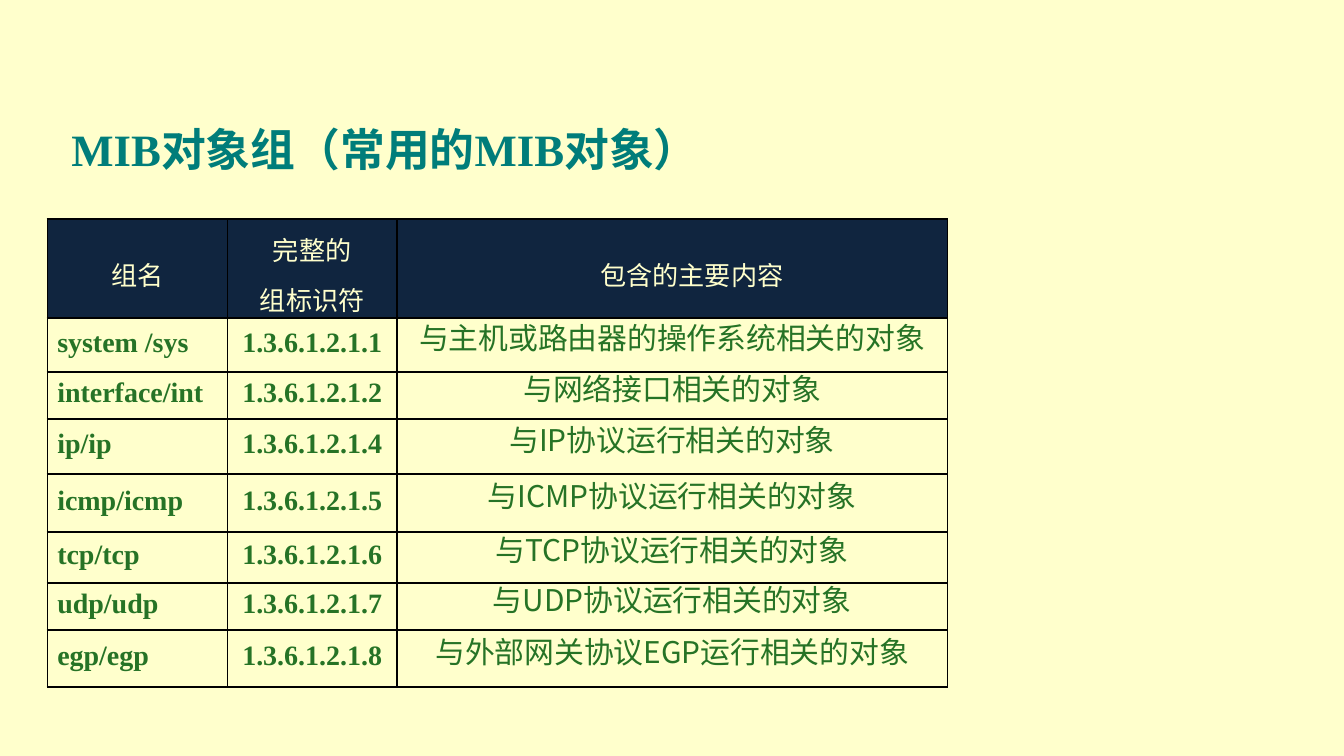
import pptx
import pptx.dml.color
import pptx.enum.text
import pptx.oxml
import pptx.oxml.ns
import pptx.util
from lxml import etree

Pt = pptx.util.Pt
ALIGN = pptx.enum.text.PP_ALIGN
MIDDLE = pptx.enum.text.MSO_ANCHOR.MIDDLE
SERIF = "Times New Roman"
SANS = "Noto Sans CJK SC"
COLORS = {
    "background": "FFFFCC",
    "title": "007D7A",
    "header": "10253F",
    "header_text": "FFFFCC",
    "body_text": "267326",
    "border": "000000",
}
COLUMN_WIDTHS = [96.5, 90.8, 294.9]
ROW_HEIGHTS = [53.2, 28.8, 25.2, 29.5, 31, 27.4, 25.2, 30.6]
HEADERS = ["组名", "完整的\n组标识符", "包含的主要内容"]
GROUPS = [
    ("system /sys", 1, "与主机或路由器的操作系统相关的对象"),
    ("interface/int", 2, "与网络接口相关的对象"),
    ("ip/ip", 4, "与IP协议运行相关的对象"),
    ("icmp/icmp", 5, "与ICMP协议运行相关的对象"),
    ("tcp/tcp", 6, "与TCP协议运行相关的对象"),
    ("udp/udp", 7, "与UDP协议运行相关的对象"),
    ("egp/egp", 8, "与外部网关协议EGP运行相关的对象"),
]


def rgb(name):
    return pptx.dml.color.RGBColor.from_string(COLORS[name])


def write_text(frame, text, *, size, color, font=SERIF, bold=False,
               align=ALIGN.LEFT, spacing=1.0, indent=0):
    for index, line in enumerate(text.split("\n")):
        para = frame.add_paragraph() if index else frame.paragraphs[0]
        para.alignment = align
        para.line_spacing = spacing
        if indent:
            properties = para._p.get_or_add_pPr()
            properties.set("marL", "0")
            properties.set("indent", str(Pt(indent)))
        span = para.add_run()
        span.text = line
        span.font.size = Pt(size)
        span.font.bold = bold
        span.font.color.rgb = rgb(color)
        span.font.name = font
        east_asian = etree.SubElement(span.font._element, pptx.oxml.ns.qn("a:ea"))
        east_asian.set("typeface", SANS)


def add_title(page, text):
    box = page.shapes.add_textbox(Pt(31.2), Pt(66.6), Pt(425.5), Pt(26))
    frame = box.text_frame
    frame.word_wrap = True
    frame.vertical_anchor = MIDDLE
    write_text(frame, text, size=24, color="title", bold=True)


def add_borders(cell):
    properties = cell._tc.get_or_add_tcPr()
    for side in ("lnL", "lnR", "lnT", "lnB"):
        properties.append(pptx.oxml.parse_xml(
            f'<a:{side} {pptx.oxml.ns.nsdecls("a")} w="{Pt(1)}"><a:solidFill>'
            f'<a:srgbClr val="{COLORS["border"]}"/></a:solidFill></a:{side}>'))


def fill_cell(cell, text, fill=None, **text_format):
    cell.margin_left = cell.margin_right = Pt(5.3)
    cell.margin_top = cell.margin_bottom = 0
    cell.vertical_anchor = MIDDLE
    add_borders(cell)
    if fill:
        cell.fill.solid()
        cell.fill.fore_color.rgb = rgb(fill)
    else:
        cell.fill.background()
    write_text(cell.text_frame, text, **text_format)


def add_group_table(page):
    table = page.shapes.add_table(
        len(ROW_HEIGHTS), len(COLUMN_WIDTHS), Pt(25.4), Pt(117.3),
        Pt(sum(COLUMN_WIDTHS)), Pt(sum(ROW_HEIGHTS))).table
    for column, width in zip(table.columns, COLUMN_WIDTHS):
        column.width = Pt(width)
    for row, height in zip(table.rows, ROW_HEIGHTS):
        row.height = Pt(height)

    for column, header in enumerate(HEADERS):
        fill_cell(table.cell(0, column), header, fill="header", size=14,
                  color="header_text", align=ALIGN.CENTER, spacing=1.3,
                  indent=21 if column == 2 else 0)

    body = {"color": "body_text", "spacing": Pt(14)}
    for row, (name, number, content) in enumerate(GROUPS, start=1):
        fill_cell(table.cell(row, 0), name, size=15, bold=True, **body)
        fill_cell(table.cell(row, 1), f"1.3.6.1.2.1.{number}", size=15,
                  bold=True, align=ALIGN.CENTER, **body)
        fill_cell(table.cell(row, 2), content, size=16, font=SANS,
                  align=ALIGN.CENTER, **body)


def main():
    deck = pptx.Presentation()
    deck.slide_width = Pt(720)
    deck.slide_height = Pt(405)
    page = deck.slides.add_slide(deck.slide_layouts[6])
    page.background.fill.solid()
    page.background.fill.fore_color.rgb = rgb("background")
    add_title(page, "MIB对象组（常用的MIB对象）")
    add_group_table(page)
    deck.save("out.pptx")


if __name__ == "__main__":
    main()
